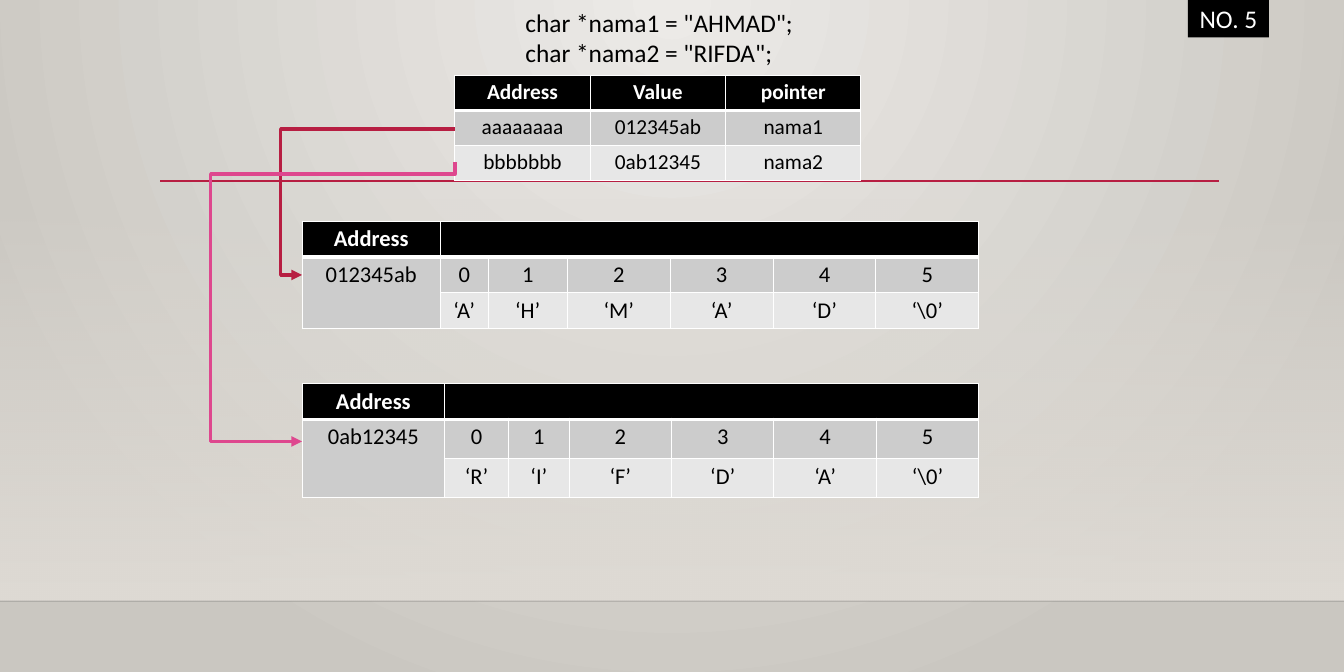
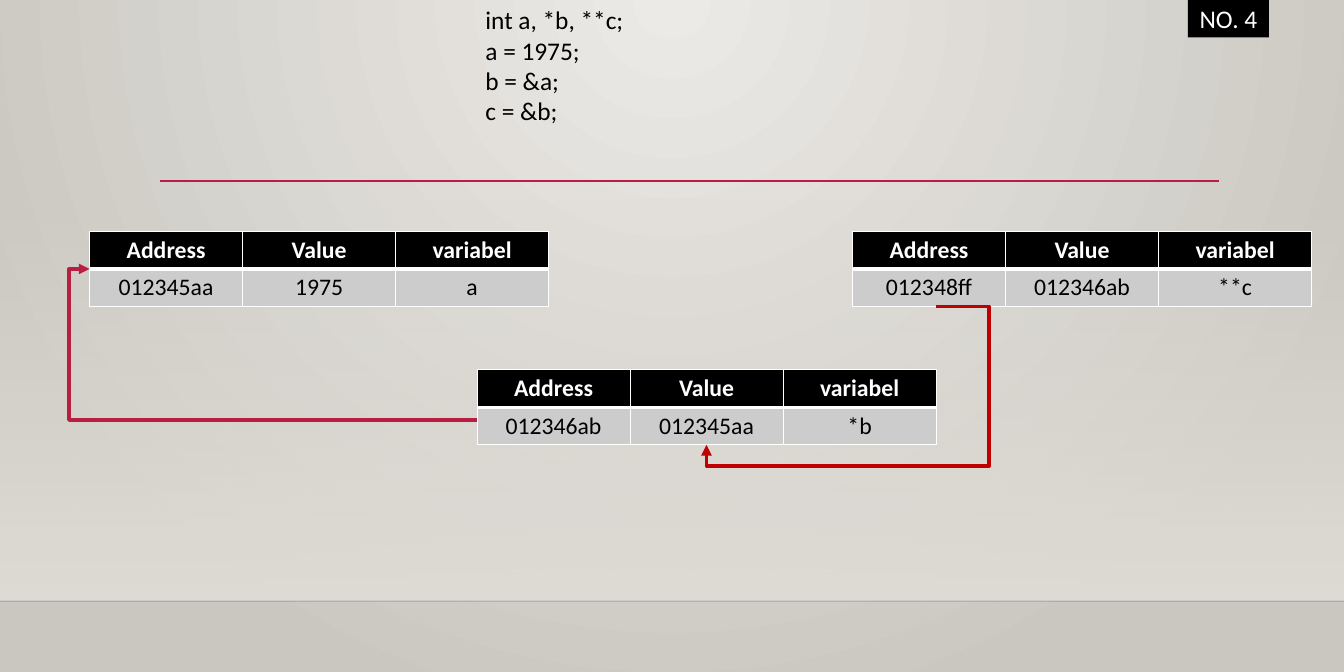
import dataclasses

import lxml.etree
import pptx
import pptx.dml.color
import pptx.enum.dml
import pptx.enum.shapes
import pptx.enum.text
import pptx.oxml.ns
import pptx.util

Inches = pptx.util.Inches
Pt = pptx.util.Pt
qn = pptx.oxml.ns.qn
Point = tuple[float, float]

COLOURS = {
    "light": "ECEAE7", "dark": "CAC7C1", "band": "DFDBD5", "edge": "000001",
    "black": "000000", "white": "FFFFFF", "odd_row": "CCCCCC", "even_row": "E7E7E7",
    "crimson": "B71E42", "pink": "DE478E", "red": "C00000",
}
FONT = "Calibri"
CODE_SIZE = 21.4
SLIDE_WIDTH, SLIDE_HEIGHT = 15.75, 7.87
CENTER = pptx.enum.text.PP_ALIGN.CENTER


@dataclasses.dataclass
class Grid:
    """A table; columns after the leading ones share the rest of the width."""
    left: float
    top: float
    width: float
    size: float
    header_height: float
    body_height: float
    rows: list[list[str]]
    leading: tuple[float, ...] = ()
    merges: tuple[tuple[int, int, int, int], ...] = ()


@dataclasses.dataclass
class Route:
    """A bent arrow through every listed corner."""
    colour: str
    points: list[Point]


@dataclasses.dataclass
class Page:
    number: str
    code_box: tuple[float, float, float, float]
    code: list[str]
    grids: list[Grid]
    routes: list[Route]


def rgb(name: str) -> pptx.dml.color.RGBColor:
    return pptx.dml.color.RGBColor.from_string(COLOURS[name])


def add_child(parent, tag: str, **attributes: str):
    child = lxml.etree.SubElement(parent, qn(tag))
    for key, value in attributes.items():
        child.set(key, value)
    return child


def add_run(paragraph, text: str, size: float, colour: str, bold: bool = False) -> None:
    run = paragraph.add_run()
    run.text = text
    run.font.name = FONT
    run.font.size = Pt(size)
    run.font.bold = bold
    run.font.color.rgb = rgb(colour)


def set_gradient(fill, first: str, last: str) -> None:
    fill.gradient()
    for stop, colour, position in zip(fill.gradient_stops, (first, last), (0, 1)):
        stop.color.rgb = rgb(colour)
        stop.position = position


# Shared backdrop
def set_background(master) -> None:
    set_gradient(master.background.fill, "light", "dark")
    gradient = master.element.find(".//" + qn("a:gradFill"))
    gradient.remove(gradient.find(qn("a:lin")))
    circle = add_child(gradient, "a:path", path="circle")
    add_child(circle, "a:fillToRect", l="43000", t="0", r="43000", b="100000")


def finish_line(connector, colour: str, width: float) -> None:
    connector.line.color.rgb = rgb(colour)
    connector.line.width = Pt(width)
    add_child(connector.element.spPr, "a:effectLst")


def add_connector(slide, kind, start: Point, end: Point):
    return slide.shapes.add_connector(kind, *(Inches(value) for value in (*start, *end)))


def add_rule(slide, left: float, right: float, y: float, colour: str, width: float):
    rule = add_connector(slide, pptx.enum.shapes.MSO_CONNECTOR.STRAIGHT, (left, y), (right, y))
    finish_line(rule, colour, width)
    return rule


def add_rectangle(slide, left: float, top: float, width: float, height: float):
    rectangle = slide.shapes.add_shape(
        pptx.enum.shapes.MSO_SHAPE.RECTANGLE,
        Inches(left), Inches(top), Inches(width), Inches(height))
    rectangle.shadow.inherit = False
    rectangle.line.fill.background()
    return rectangle


def add_backdrop(slide) -> None:
    band = add_rectangle(slide, 0, 2.32, SLIDE_WIDTH, 4.71)
    set_gradient(band.fill, "band", "band")
    band.fill.gradient_angle = 270
    add_child(band.element.spPr.find(".//" + qn("a:srgbClr")), "a:alpha", val="0")

    floor = add_rule(slide, 0, SLIDE_WIDTH, 7.04, "edge", 1)
    add_child(floor.element.spPr.find(".//" + qn("a:srgbClr")), "a:alpha", val="20000")
    add_rule(slide, 1.88, 14.29, 2.12, "crimson", 2.5)


# Number badge and code lines
def add_badge(slide, label: str) -> None:
    badge = add_rectangle(slide, 13.92, -0.02, 0.95, 0.46)
    badge.fill.solid()
    badge.fill.fore_color.rgb = rgb("black")
    frame = badge.text_frame
    frame.word_wrap = True
    frame.auto_size = pptx.enum.text.MSO_AUTO_SIZE.SHAPE_TO_FIT_TEXT
    frame.vertical_anchor = pptx.enum.text.MSO_ANCHOR.MIDDLE
    frame.paragraphs[0].alignment = CENTER
    add_run(frame.paragraphs[0], label, CODE_SIZE, "white")


def add_code(slide, box: tuple[float, float, float, float], lines: list[str]) -> None:
    frame = slide.shapes.add_textbox(*(Inches(value) for value in box)).text_frame
    frame.word_wrap = True
    frame.auto_size = pptx.enum.text.MSO_AUTO_SIZE.SHAPE_TO_FIT_TEXT
    for index, line in enumerate(lines):
        paragraph = frame.add_paragraph() if index else frame.paragraphs[0]
        add_run(paragraph, line, CODE_SIZE, "black")


# Tables
def set_borders(cell, row: int) -> None:
    """White hairlines, with a thick one between header and body."""
    properties = cell._tc.get_or_add_tcPr()
    widths = {"a:lnL": 1, "a:lnR": 1, "a:lnT": 3 if row == 1 else 1, "a:lnB": 1 if row else 3}
    for index, (tag, width) in enumerate(widths.items()):
        border = add_child(properties, tag, w=str(Pt(width)))
        add_child(add_child(border, "a:solidFill"), "a:srgbClr", val=COLOURS["white"])
        properties.insert(index, border)


def add_grid(slide, grid: Grid) -> None:
    column_count = len(grid.rows[0])
    heights = [grid.header_height] + [grid.body_height] * (len(grid.rows) - 1)
    table = slide.shapes.add_table(
        len(grid.rows), column_count, Inches(grid.left), Inches(grid.top),
        Inches(grid.width), Inches(sum(heights))).table
    table.horz_banding = False
    shared = (grid.width - sum(grid.leading)) / (column_count - len(grid.leading))
    for index, column in enumerate(table.columns):
        column.width = Inches(grid.leading[index] if index < len(grid.leading) else shared)
    for row, (height, texts) in enumerate(zip(heights, grid.rows)):
        table.rows[row].height = Inches(height)
        for column, text in enumerate(texts):
            cell = table.cell(row, column)
            cell.fill.solid()
            cell.fill.fore_color.rgb = rgb(("black", "odd_row", "even_row")[row])
            set_borders(cell, row)
            paragraph = cell.text_frame.paragraphs[0]
            paragraph.alignment = CENTER
            if text:
                add_run(paragraph, text, grid.size, "black" if row else "white", row == 0)
    for top, left, bottom, right in grid.merges:
        table.cell(top, left).merge(table.cell(bottom, right))


def string_grid(top: float, width: float, body_height: float, leading: tuple[float, ...],
                address: str, letters: list[str]) -> Grid:
    """Memory table of a string: its address, then an index above each letter."""
    count = len(letters)
    rows = [["Address"] + [""] * count,
            [address] + [str(index) for index in range(count)],
            [""] + [f"‘{letter}’" for letter in letters]]
    return Grid(3.54, top, width, 19, 0.42, body_height, rows, leading,
                ((0, 1, 0, count), (1, 0, 2, 0)))


def variable_grid(left: float, top: float, values: list[str]) -> Grid:
    return Grid(left, top, 5.38, 20, 0.44, 0.44, [["Address", "Value", "variabel"], values])


# Bent arrows
def add_route(slide, route: Route) -> None:
    (x1, y1), (x2, y2) = start, end = route.points[0], route.points[-1]
    first, second = route.points[1:3]
    downward = first[0] == x1
    if downward:
        # Lay the frame on its side, then turn it a quarter about its centre
        middle_x, middle_y = (x1 + x2) / 2, (y1 + y2) / 2
        half_width, half_height = (y2 - y1) / 2, (x1 - x2) / 2
        start = (middle_x - half_width, middle_y - half_height)
        end = (middle_x + half_width, middle_y + half_height)
        bends = [(first[1] - y1) / (y2 - y1), (second[0] - x1) / (x2 - x1)]
    else:
        bends = [(first[0] - x1) / (x2 - x1), (second[1] - y1) / (y2 - y1)]
    bends = bends[:len(route.points) - 3]

    arrow = add_connector(slide, pptx.enum.shapes.MSO_CONNECTOR.ELBOW, start, end)
    properties = arrow.element.spPr
    if downward:
        properties.find(qn("a:xfrm")).set("rot", "5400000")
    geometry = properties.find(qn("a:prstGeom"))
    geometry.set("prst", f"bentConnector{len(bends) + 2}")
    for old_guides in geometry.findall(qn("a:avLst")):
        geometry.remove(old_guides)
    guides = add_child(geometry, "a:avLst")
    for number, bend in enumerate(bends, start=1):
        add_child(guides, "a:gd", name=f"adj{number}", fmla=f"val {round(bend * 100000)}")
    finish_line(arrow, route.colour, 3)
    add_child(properties.find(qn("a:ln")), "a:tailEnd", type="triangle")


PAGES = [
    Page("NO. 5", (6.06, 0.03, 4.56, 0.82),
         ['char *nama1 = "AHMAD";', 'char *nama2 = "RIFDA";'],
         [string_grid(2.59, 7.93, 0.42, (1.62, 0.56, 0.93), "012345ab",
                      ["A", "H", "M", "A", "D", "\\0"]),
          string_grid(4.49, 7.93, 0.46, (1.67, 0.75, 0.71), "0ab12345",
                      ["R", "I", "F", "D", "A", "\\0"]),
          Grid(5.33, 0.88, 4.76, 18, 0.41, 0.41,
               [["Address", "Value", "pointer"],
                ["aaaaaaaa", "012345ab", "nama1"],
                ["bbbbbbb", "0ab12345", "nama2"]])],
         [Route("crimson", [(5.33, 1.51), (3.29, 1.51), (3.29, 3.22), (3.54, 3.22)]),
          Route("pink", [(5.33, 1.9), (5.33, 2.04), (2.47, 2.04), (2.47, 5.17), (3.54, 5.17)])]),
    Page("NO. 4", (5.59, 0, 6.19, 1.54),
         ["int a, *b, **c;", "a = 1975;", "b = &a;", "c = &b;"],
         [variable_grid(1.05, 2.71, ["012345aa", "1975", "a"]),
          variable_grid(5.59, 4.33, ["012346ab", "012345aa", "*b"]),
          variable_grid(9.99, 2.71, ["012348ff", "012346ab", "**c"])],
         [Route("crimson", [(5.59, 4.92), (0.81, 4.92), (0.81, 3.15), (1.05, 3.15)]),
          Route("red", [(10.97, 3.59), (11.59, 3.59), (11.59, 5.46), (8.28, 5.46),
                        (8.28, 5.21)])]),
]


def main() -> None:
    deck = pptx.Presentation()
    deck.slide_width, deck.slide_height = Inches(SLIDE_WIDTH), Inches(SLIDE_HEIGHT)
    set_background(deck.slide_master)
    for page in PAGES:
        slide = deck.slides.add_slide(deck.slide_layouts[6])
        add_backdrop(slide)
        add_badge(slide, page.number)
        add_code(slide, page.code_box, page.code)
        for grid in page.grids:
            add_grid(slide, grid)
        for route in page.routes:
            add_route(slide, route)
    deck.save("out.pptx")


if __name__ == "__main__":
    main()
